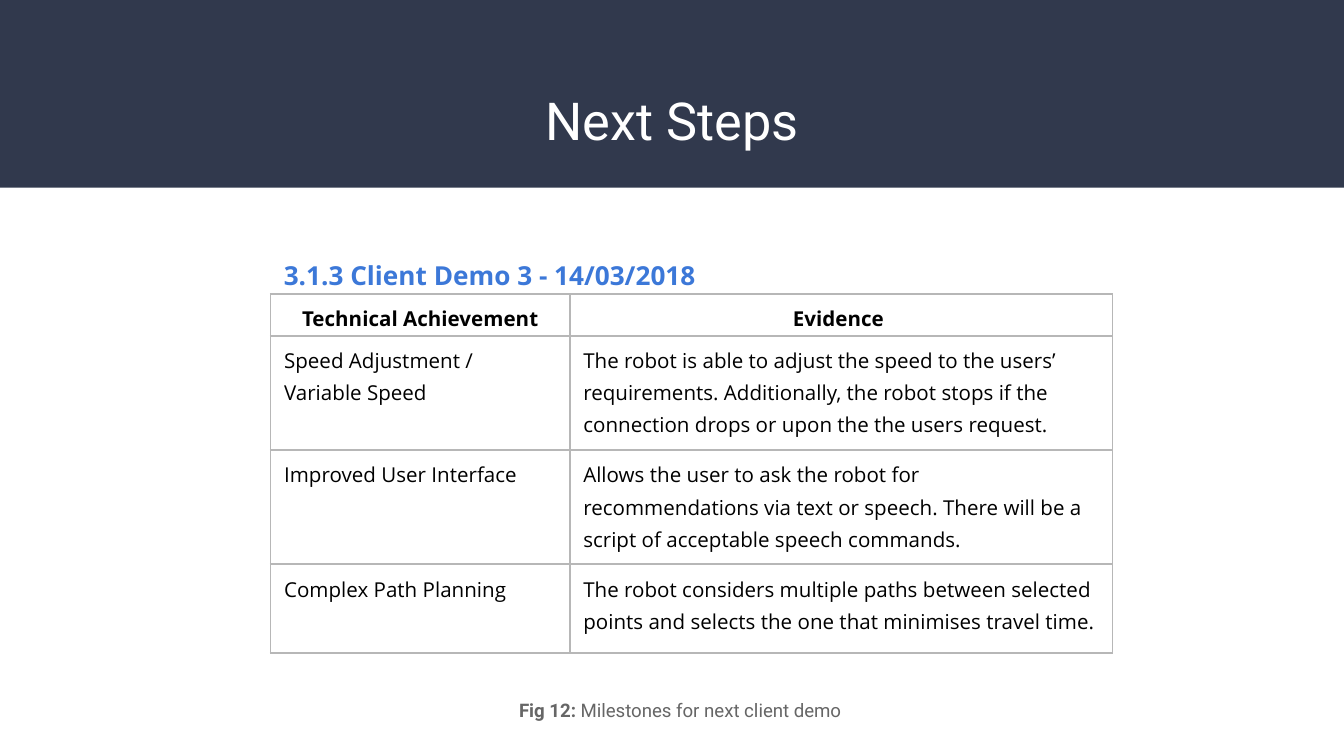
from lxml.etree import SubElement
from pptx import Presentation
from pptx.dml.color import RGBColor
from pptx.enum.shapes import MSO_SHAPE as Shape
from pptx.enum.text import MSO_ANCHOR as Anchor, PP_ALIGN as Align
from pptx.oxml.ns import qn
from pptx.util import Pt

TITLE = "Next Steps"
HEADING = "3.1.3 Client Demo 3 - 14/03/2018"
CAPTION = [("Fig 12:", True), (" Milestones for next client demo", False)]
MILESTONES = [
    ("Technical Achievement", "Evidence "),
    ("Speed Adjustment / Variable Speed",
     "The robot is able to adjust the speed to the users’ requirements. "
     "Additionally, the robot stops if the connection drops or upon the the users request."),
    ("Improved User Interface",
     "Allows the user to ask the robot for recommendations via text or speech. "
     "There will be a script of acceptable speech commands."),
    ("Complex Path Planning",
     "The robot considers multiple paths between selected points and selects "
     "the one that minimises travel time."),
]
COLUMN_WIDTHS = [160.3, 290.7]
ROW_HEIGHTS = [19.4, 61.2, 61.2, 47.5]
PAGE_WIDTH, PAGE_HEIGHT = 720, 405
TABLE_LEFT, TABLE_TOP = 145, 157.5
BORDER = "B7B7B7"


def color(value):
    return RGBColor.from_string(value)


def write(frame, spans, size, font, fill, align=Align.LEFT, spacing=None, inset=7.2):
    """Fill a text frame with one paragraph of (text, bold) spans."""
    frame.margin_left = frame.margin_right = Pt(inset)
    frame.margin_top = frame.margin_bottom = Pt(inset)
    para = frame.paragraphs[0]
    para.alignment = align
    if spacing:
        para.line_spacing = spacing
    for text, bold in spans:
        span = para.add_run()
        span.text = text
        span.font.size = Pt(size)
        span.font.name = font
        span.font.bold = bold
        span.font.color.rgb = color(fill)


def add_text(page, left, top, width, height, spans, wrap=True, anchor=Anchor.TOP, **style):
    box = page.shapes.add_textbox(Pt(left), Pt(top), Pt(width), Pt(height))
    write(box.text_frame, spans, **style)
    box.text_frame.word_wrap = wrap
    box.text_frame.vertical_anchor = anchor
    return box


def add_borders(cell):
    properties = cell._tc.get_or_add_tcPr()
    for index, side in enumerate(("a:lnL", "a:lnR", "a:lnT", "a:lnB")):
        line = SubElement(properties, qn(side), w=str(Pt(1)))
        SubElement(SubElement(line, qn("a:solidFill")), qn("a:srgbClr"), val=BORDER)
        properties.remove(line)
        properties.insert(index, line)


def add_milestones(page):
    table = page.shapes.add_table(
        len(MILESTONES), len(COLUMN_WIDTHS), Pt(TABLE_LEFT), Pt(TABLE_TOP),
        Pt(sum(COLUMN_WIDTHS)), Pt(sum(ROW_HEIGHTS))).table
    table.horz_banding = False
    for column, width in zip(table.columns, COLUMN_WIDTHS):
        column.width = Pt(width)
    for row, height, texts in zip(table.rows, ROW_HEIGHTS, MILESTONES):
        row.height = Pt(height)
        header = texts is MILESTONES[0]
        for cell, text in zip(row.cells, texts):
            cell.fill.background()
            add_borders(cell)
            write(cell.text_frame, [(text, header)], size=11, font="Open Sans",
                  fill="000000", align=Align.CENTER if header else Align.LEFT,
                  spacing=1.15, inset=2.9)


def main():
    deck = Presentation()
    deck.slide_width, deck.slide_height = Pt(PAGE_WIDTH), Pt(PAGE_HEIGHT)
    page = deck.slides.add_slide(deck.slide_layouts[6])

    band = page.shapes.add_shape(Shape.RECTANGLE, 0, 0, Pt(PAGE_WIDTH), Pt(100.5))
    band.shadow.inherit = False
    band.fill.solid()
    band.fill.fore_color.rgb = color("31394D")
    band.line.fill.background()

    add_text(page, 24.5, 39.6, 671, 49, [(TITLE, False)], anchor=Anchor.MIDDLE,
             size=28, font="Roboto", fill="FFFFFF", align=Align.CENTER)
    add_text(page, 76.3, 368.6, 576, 23, CAPTION,
             size=10, font="Roboto", fill="666666", align=Align.CENTER)
    add_milestones(page)
    heading = add_text(page, TABLE_LEFT, 133.2, 235.4, 26.6, [(HEADING, True)], wrap=False,
                       size=14, font="Open Sans", fill="3C78D8", spacing=1.15)
    heading.text_frame.margin_top = heading.text_frame.margin_bottom = Pt(3.6)

    deck.save("out.pptx")


if __name__ == "__main__":
    main()
